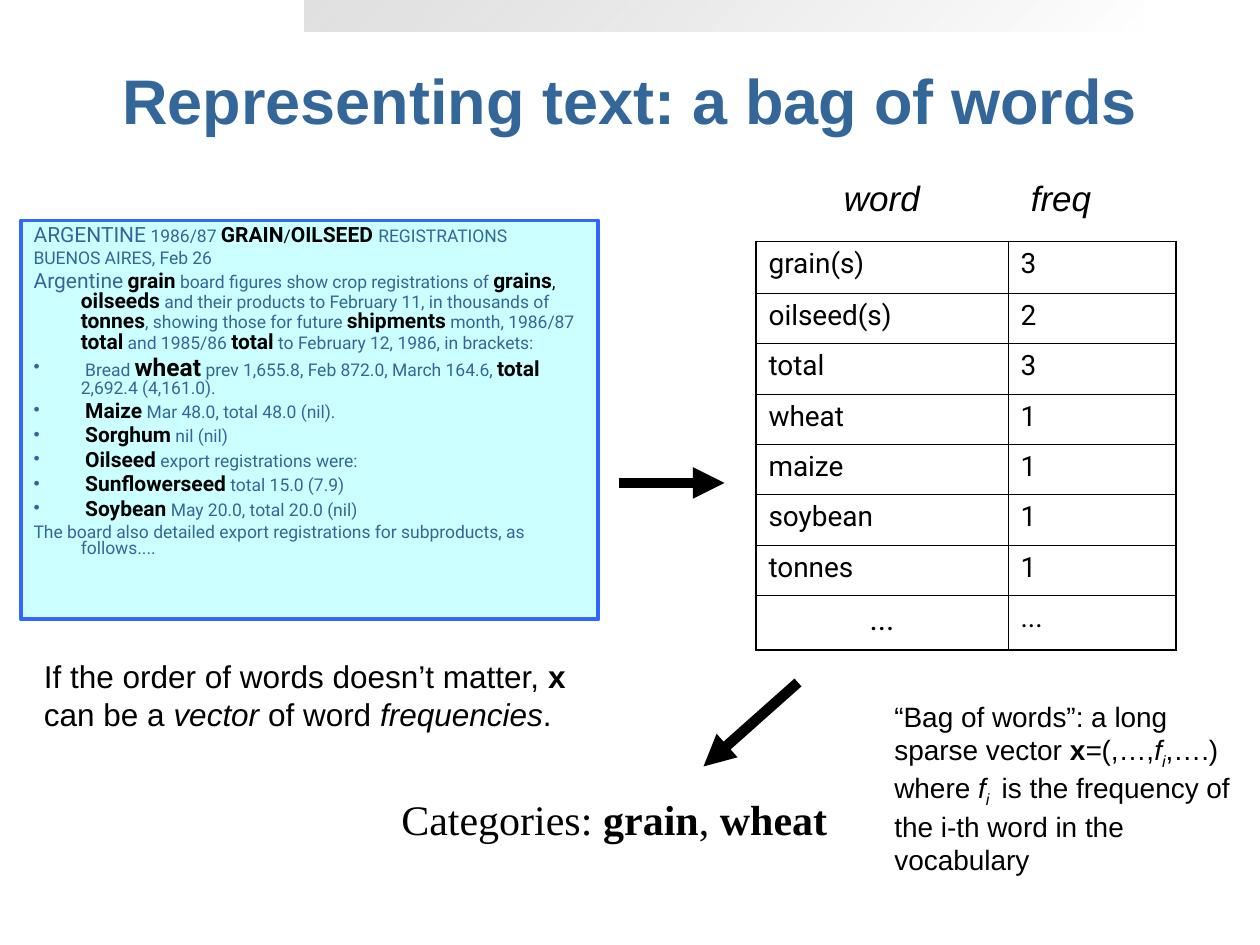
import dataclasses

import lxml.etree
import pptx
import pptx.dml.color
import pptx.enum.shapes
import pptx.enum.text
import pptx.oxml.ns
import pptx.util

Pt = pptx.util.Pt
qn = pptx.oxml.ns.qn
Align = pptx.enum.text.PP_ALIGN
Anchor = pptx.enum.text.MSO_ANCHOR
Fit = pptx.enum.text.MSO_AUTO_SIZE
Shape = pptx.enum.shapes.MSO_SHAPE


def rgb(code):
    return pptx.dml.color.RGBColor.from_string(code)


@dataclasses.dataclass(frozen=True)
class Theme:
    ink: str = "000000"
    blue: str = "336699"
    edge: str = "3366FF"
    pale: str = "CCFFFF"
    white: str = "FFFFFF"
    gray: str = "C0C0C0"
    sans: str = "Arial"
    news: str = "Roboto"
    serif: str = "Times New Roman"
    title: int = 36
    label: int = 24
    head: int = 20
    note: int = 18
    cell: int = 16
    big: int = 14
    key: int = 12
    small: int = 10


theme = Theme()
STYLES = {
    "bold": {"bold": True},
    "ital": {"ital": True},
    "sub": {"ital": True, "sub": True},
    "lead": {"size": theme.key},
    "key": {"size": theme.key, "color": theme.ink, "bold": True},
    "big": {"size": theme.big, "color": theme.ink, "bold": True},
    "dark": {"color": theme.ink},
}


def write(par, *runs, size, font=theme.sans, color=theme.ink, bold=False,
          ital=False, align=Align.LEFT, before=0, line=None):
    """Fill a paragraph; each run is plain text or a (text, style name) pair."""
    par.alignment, par.space_before = align, Pt(before)
    if line:
        par.line_spacing = line
    base = dict(size=size, color=color, bold=bold, ital=ital, sub=False)
    for item in runs:
        text, style = (item, None) if isinstance(item, str) else item
        look = base | STYLES.get(style, {})
        run = par.add_run()
        run.text = text
        run.font.name, run.font.size = font, Pt(look["size"])
        run.font.bold, run.font.italic = look["bold"], look["ital"]
        run.font.color.rgb = rgb(look["color"])
        if look["sub"]:
            run.font._element.set("baseline", "-25000")


deck = pptx.Presentation()
deck.slide_width, deck.slide_height = Pt(720), Pt(540)
slide = deck.slides.add_slide(deck.slide_layouts[1])
shapes = slide.shapes

# Shaded band along the top edge
band = shapes.add_shape(Shape.RECTANGLE, Pt(174), Pt(0), Pt(480), Pt(18))
band.shadow.inherit = False
band.line.fill.background()
band.fill.gradient()
band.fill.gradient_angle = 135
for stop, code in zip(band.fill.gradient_stops, (theme.white, theme.gray)):
    stop.color.rgb = rgb(code)
for tint, alpha in zip(band._element.spPr.iter(qn("a:srgbClr")), (68, 48)):
    lxml.etree.SubElement(tint, qn("a:alpha"), val=str(alpha * 1000))

# Title
title = shapes.title
title.left, title.top, title.width, title.height = Pt(36), Pt(12), Pt(648), Pt(90)
title.text_frame.vertical_anchor = Anchor.MIDDLE
title.text_frame.auto_size = Fit.NONE
write(title.text_frame.paragraphs[0], "Representing text: a bag of words",
      size=theme.title, color=theme.blue, bold=True, align=Align.CENTER)

# News story: (bulleted, runs)
story = [
    (False, [("ARGENTINE", "lead"), " 1986/87 ", ("GRAIN", "key"), ("/", "dark"),
             ("OILSEED ", "key"), "REGISTRATIONS"]),
    (False, ["BUENOS AIRES, Feb 26"]),
    (False, [("Argentine", "lead"), " ", ("grain", "key"),
             " board figures show crop registrations of ", ("grains", "key"),
             (", ", "dark"), ("oilseeds", "key"),
             " and their products to February 11, in thousands of ",
             ("tonnes", "key"), ", showing those for future ",
             ("shipments", "key"), " month, 1986/87 ", ("total", "key"),
             " and 1985/86 ", ("total", "key"),
             " to February 12, 1986, in brackets:"]),
    (True, [" Bread ", ("wheat", "big"), " prev 1,655.8, Feb 872.0, March 164.6, ",
            ("total", "key"), " 2,692.4 (4,161.0)."]),
    (True, [" ", ("Maize", "key"), " Mar 48.0, total 48.0 (nil)."]),
    (True, [" ", ("Sorghum", "key"), " nil (nil)"]),
    (True, [" ", ("Oilseed", "key"), " export registrations were:"]),
    (True, [" ", ("Sunflowerseed", "key"), " total 15.0 (7.9)"]),
    (True, [" ", ("Soybean", "key"), " May 20.0, total 20.0 (nil)"]),
    (False, ["The board also detailed export registrations for subproducts, "
             "as follows...."]),
]
body = slide.placeholders[1]
body.left, body.top, body.width, body.height = Pt(12), Pt(126), Pt(330), Pt(228)
body.fill.solid()
body.fill.fore_color.rgb = rgb(theme.pale)
body.line.color.rgb = rgb(theme.edge)
body.line.width = Pt(2.25)
frame = body.text_frame
frame.auto_size = Fit.NONE
for n, (dot, runs) in enumerate(story):
    par = frame.add_paragraph() if n else frame.paragraphs[0]
    write(par, *runs, size=theme.small, font=theme.news, color=theme.blue,
          before=2.5, line=0.8)
    props = par._p.get_or_add_pPr()
    props.set("marL", str(Pt(27)))
    props.set("indent", str(-Pt(27)))
    if not dot:
        lxml.etree.SubElement(props, qn("a:buNone"))

# Word counts
counts = [("grain(s)", "3"), ("oilseed(s)", "2"), ("total", "3"), ("wheat", "1"),
          ("maize", "1"), ("soybean", "1"), ("tonnes", "1"), ("...", "...")]
last = len(counts) - 1
grid = shapes.add_table(len(counts), 2, Pt(432), Pt(138), Pt(240), Pt(233.3)).table
grid.first_row = grid.horz_banding = False
for col, width in zip(grid.columns, (144, 96)):
    col.width = Pt(width)
for r, row in enumerate(counts):
    grid.rows[r].height = Pt({0: 29.5, last: 31}.get(r, 28.8))
    for c, text in enumerate(row):
        cell = grid.cell(r, c)
        mid = r == last and c == 0
        write(cell.text_frame.paragraphs[0], text, font=theme.news,
              size=theme.note if mid else theme.cell,
              align=Align.CENTER if mid else Align.LEFT, before=4.5 if mid else 4)
        props = cell._tc.get_or_add_tcPr()
        outer = {"L": c == 0, "R": c == 1, "T": r == 0, "B": r == last}
        for side, rim in outer.items():
            edge = lxml.etree.SubElement(props, qn("a:ln" + side),
                                         w=str(Pt(1.08 if rim else 0.45)))
            fill = lxml.etree.SubElement(edge, qn("a:solidFill"))
            lxml.etree.SubElement(fill, qn("a:srgbClr"), val=theme.ink)
        cell.fill.background()

# Arrows
for x1, y1, x2, y2 in ((354, 276, 414, 276), (456, 390, 402, 438)):
    arrow = shapes.add_connector(pptx.enum.shapes.MSO_CONNECTOR.STRAIGHT,
                                 Pt(x1), Pt(y1), Pt(x2), Pt(y2))
    arrow.line.color.rgb = rgb(theme.ink)
    arrow.line.width = Pt(6)
    lxml.etree.SubElement(arrow.line._get_or_add_ln(), qn("a:tailEnd"), type="triangle")
    lxml.etree.SubElement(arrow._element.spPr, qn("a:effectLst"))

# Loose texts: place, wrap, runs, format
head = dict(size=theme.head, ital=True, align=Align.CENTER)
texts = [
    ((475.2, 97.2, 57.6, 31.5), False, ["word"], head),
    ((581.8, 97.2, 49, 31.5), False, ["freq"], head),
    ((168, 450, 366, 36), True,
     ["Categories: ", ("grain", "bold"), ", ", ("wheat", "bold")],
     dict(size=theme.label, font=theme.serif, align=Align.CENTER, before=15)),
    ((18, 372, 336, 50.4), True,
     ["If the order of words doesn’t matter, ", ("x", "bold"), " can be a ",
      ("vector", "ital"), " of word ", ("frequencies", "ital"), "."],
     dict(size=theme.note, before=11.2)),
    ((504, 396, 216, 108.7), True,
     ["“Bag of words”: a long sparse vector ", ("x", "bold"), ("=", "ital"), "(,…,",
      ("f", "ital"), ("i", "sub"), ",….) where ", ("f", "ital"), ("i ", "sub"),
      " is the frequency of the i-th word in the vocabulary"],
     dict(size=theme.cell, before=4)),
]
for place, wrap, runs, form in texts:
    box = shapes.add_textbox(*map(Pt, place)).text_frame
    box.word_wrap = wrap
    box.auto_size = Fit.SHAPE_TO_FIT_TEXT
    write(box.paragraphs[0], *runs, **form)

deck.save("out.pptx")
